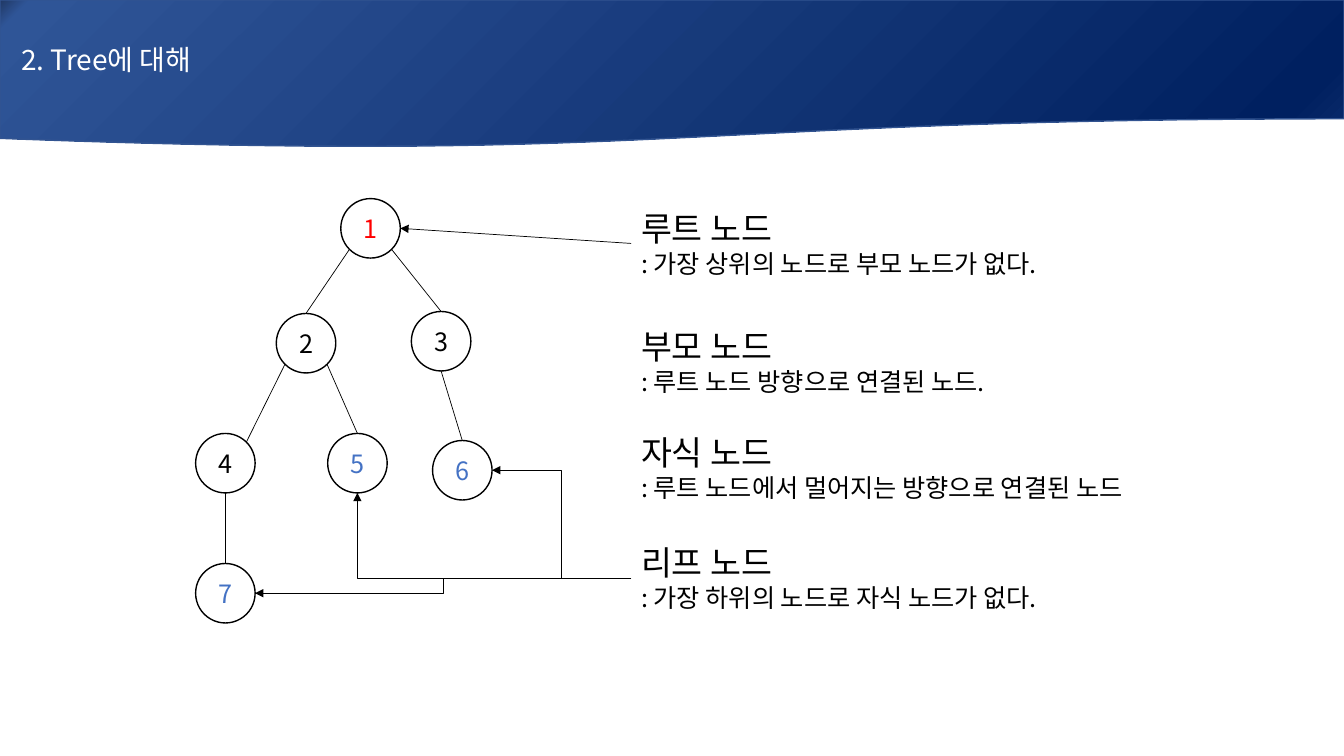
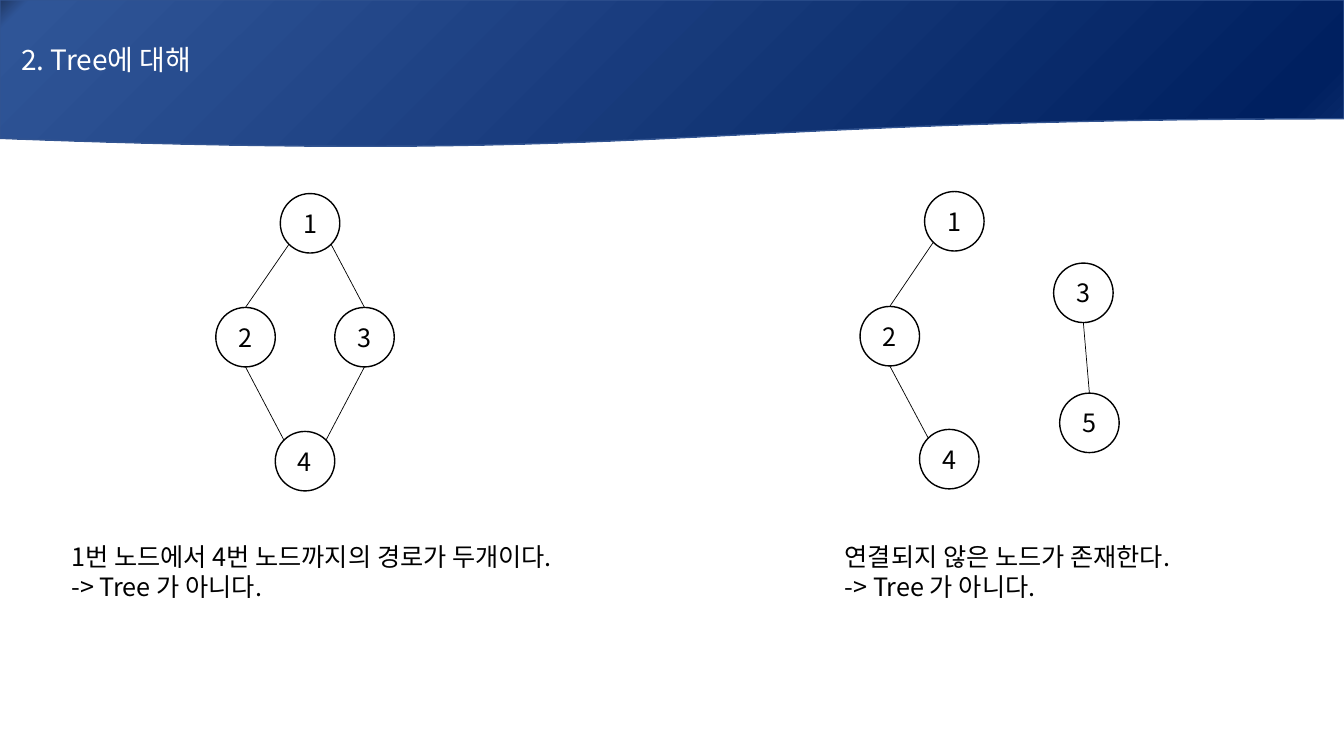
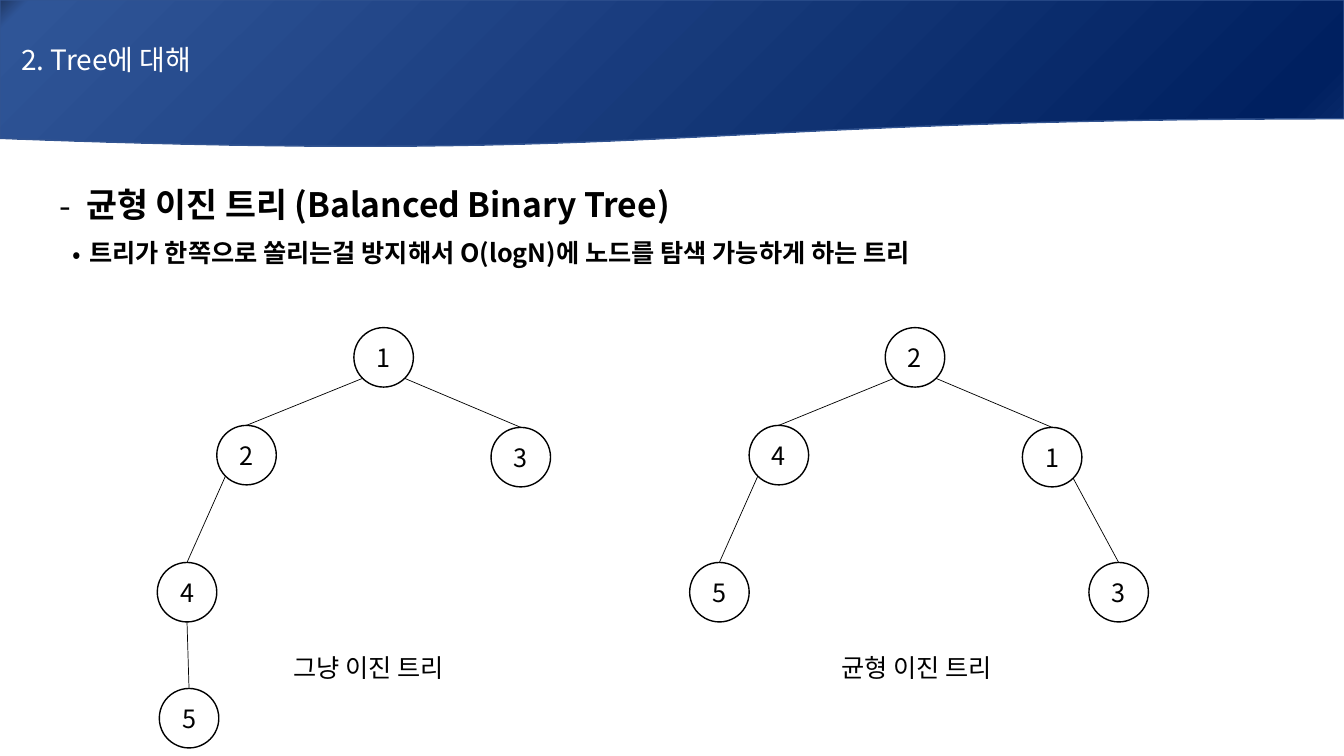
from dataclasses import dataclass
from enum import IntEnum
from math import cos, radians, sin

from lxml.etree import SubElement
from pptx import Presentation
from pptx.dml.color import RGBColor
from pptx.enum.shapes import MSO_CONNECTOR, MSO_SHAPE
from pptx.enum.text import MSO_ANCHOR, MSO_AUTO_SIZE, PP_ALIGN
from pptx.oxml.ns import qn
from pptx.shapes.autoshape import Shape
from pptx.shapes.connector import Connector
from pptx.slide import Slide
from pptx.text.text import _Paragraph as Paragraph
from pptx.util import Inches, Pt

COLORS = {
    "white": "FFFFFF",
    "black": "000000",
    "root": "FF0000",
    "leaf": "4472C4",
    "band_line": "325491",
}
BAND_STOPS = [(0, "203864"), (2, "2F5597"), (94, "002060"), (100, "0D2E6F")]
FONT = "Noto Sans CJK KR"
TITLE = "2. Tree에 대해"
SLIDE_WIDTH = 13.33
SLIDE_HEIGHT = 7.5
BAND_HEIGHT = 1.47
NODE_SIZE = 0.59


class Site(IntEnum):
    TOP = 0
    TOP_LEFT = 1
    LEFT = 2
    BOTTOM_LEFT = 3
    BOTTOM = 4
    BOTTOM_RIGHT = 5
    RIGHT = 6
    TOP_RIGHT = 7


@dataclass(frozen=True)
class Node:
    label: str
    left: float
    top: float
    color: str = "black"


@dataclass(frozen=True)
class Edge:
    parent: str
    parent_site: Site
    child: str
    child_site: Site = Site.TOP


@dataclass(frozen=True)
class Line:
    text: str
    size: int = 18
    bold: bool = False


@dataclass(frozen=True)
class Bullet:
    line: Line
    mark: str
    margin: float
    hanging: float


@dataclass(frozen=True)
class TextBlock:
    left: float
    top: float
    width: float
    height: float
    lines: tuple[Line, ...]


@dataclass(frozen=True)
class Tree:
    nodes: tuple[Node, ...]
    edges: tuple[Edge, ...]


def rgb(name: str) -> RGBColor:
    return RGBColor.from_string(COLORS[name])


def add_run(paragraph: Paragraph, line: Line, color: str = "black") -> None:
    run = paragraph.add_run()
    run.text = line.text
    font = run.font
    font.size = Pt(line.size)
    font.bold = line.bold
    font.name = FONT
    font.color.rgb = rgb(color)
    SubElement(run._r.get_or_add_rPr(), qn("a:ea"), typeface=FONT)


def add_band(slide: Slide) -> None:
    band = slide.shapes.add_shape(
        MSO_SHAPE.FLOWCHART_DOCUMENT, 0, 0, Inches(SLIDE_WIDTH), Inches(BAND_HEIGHT)
    )
    band.shadow.inherit = False
    band.fill.gradient()
    band.fill.gradient_angle = 315
    stops = next(band.element.iter(qn("a:gsLst")))
    for stop in list(stops):
        stops.remove(stop)
    for percent, color in BAND_STOPS:
        stop = SubElement(stops, qn("a:gs"), pos=str(percent * 1000))
        SubElement(stop, qn("a:srgbClr"), val=color)
    band.line.color.rgb = rgb("band_line")
    band.line.width = Pt(1)
    frame = band.text_frame
    frame.margin_left = Inches(0.21)
    frame.vertical_anchor = MSO_ANCHOR.MIDDLE
    paragraph = frame.paragraphs[0]
    paragraph.alignment = PP_ALIGN.LEFT
    add_run(paragraph, Line(TITLE, 20), "white")


def add_slide(presentation: Presentation) -> Slide:
    slide = presentation.slides.add_slide(presentation.slide_layouts[6])
    add_band(slide)
    return slide


def add_text_box(
    slide: Slide, left: float, top: float, width: float, height: float
) -> Shape:
    box = slide.shapes.add_textbox(
        Inches(left), Inches(top), Inches(width), Inches(height)
    )
    box.text_frame.word_wrap = True
    box.text_frame.auto_size = MSO_AUTO_SIZE.SHAPE_TO_FIT_TEXT
    return box


def next_paragraph(box: Shape, index: int) -> Paragraph:
    frame = box.text_frame
    return frame.add_paragraph() if index else frame.paragraphs[0]


def add_text_block(slide: Slide, block: TextBlock) -> Shape:
    box = add_text_box(slide, block.left, block.top, block.width, block.height)
    for index, line in enumerate(block.lines):
        add_run(next_paragraph(box, index), line)
    return box


def add_bullets(slide: Slide, box: Shape, bullets: tuple[Bullet, ...]) -> None:
    for index, bullet in enumerate(bullets):
        paragraph = next_paragraph(box, index)
        paragraph.alignment = PP_ALIGN.JUSTIFY
        paragraph.line_spacing = 1.07
        paragraph.space_after = Pt(8)
        properties = paragraph._p.get_or_add_pPr()
        properties.set("marL", str(Inches(bullet.margin)))
        properties.set("indent", str(-Inches(bullet.hanging)))
        SubElement(properties, qn("a:buFont"), typeface=FONT)
        SubElement(properties, qn("a:buChar"), char=bullet.mark)
        add_run(paragraph, bullet.line)


def add_node(slide: Slide, node: Node) -> Shape:
    circle = slide.shapes.add_shape(
        MSO_SHAPE.OVAL,
        Inches(node.left),
        Inches(node.top),
        Inches(NODE_SIZE),
        Inches(NODE_SIZE),
    )
    circle.shadow.inherit = False
    circle.fill.solid()
    circle.fill.fore_color.rgb = rgb("white")
    circle.line.color.rgb = rgb("black")
    circle.line.width = Pt(1)
    circle.text_frame.vertical_anchor = MSO_ANCHOR.MIDDLE
    paragraph = circle.text_frame.paragraphs[0]
    paragraph.alignment = PP_ALIGN.CENTER
    add_run(paragraph, Line(node.label), node.color)
    return circle


def site_point(circle: Shape, site: Site) -> tuple[int, int]:
    angle = radians(90 + 45 * site)
    radius = circle.width / 2
    return (
        round(circle.left + radius + radius * cos(angle)),
        round(circle.top + radius - radius * sin(angle)),
    )


def glue(connector: Connector, end: str, circle: Shape, site: Site) -> None:
    properties = connector.element.nvCxnSpPr.cNvCxnSpPr
    SubElement(properties, qn(end), id=str(circle.shape_id), idx=str(int(site)))


def add_line(
    slide: Slide, kind: MSO_CONNECTOR, start: tuple[int, int], end: tuple[int, int]
) -> Connector:
    connector = slide.shapes.add_connector(kind, *start, *end)
    connector.line.color.rgb = rgb("black")
    connector.line.width = Pt(0.5)
    SubElement(connector.element.spPr, qn("a:effectLst"))
    return connector


def add_tree(slide: Slide, tree: Tree) -> dict[str, Shape]:
    circles = {node.label: add_node(slide, node) for node in tree.nodes}
    for edge in tree.edges:
        child, parent = circles[edge.child], circles[edge.parent]
        connector = add_line(
            slide,
            MSO_CONNECTOR.STRAIGHT,
            site_point(child, edge.child_site),
            site_point(parent, edge.parent_site),
        )
        glue(connector, "a:stCxn", child, edge.child_site)
        glue(connector, "a:endCxn", parent, edge.parent_site)
    return circles


def add_pointer(
    slide: Slide, note: Shape, circle: Shape, site: Site, kind: MSO_CONNECTOR
) -> None:
    start = (note.left, note.top + note.height // 2)
    connector = add_line(slide, kind, start, site_point(circle, site))
    connector.begin_connect(note, 1)
    glue(connector, "a:endCxn", circle, site)
    if site == Site.BOTTOM:
        connector.element.spPr.find(qn("a:prstGeom")).set("prst", "bentConnector2")
    outline = connector.line._get_or_add_ln()
    SubElement(outline, qn("a:tailEnd"), type="triangle")


NODE_TREE = Tree(
    (
        Node("1", 3.38, 1.97, "root"),
        Node("2", 2.74, 3.11),
        Node("3", 4.08, 3.09),
        Node("4", 1.94, 4.3),
        Node("5", 3.25, 4.3, "leaf"),
        Node("6", 4.29, 4.37, "leaf"),
        Node("7", 1.94, 5.59, "leaf"),
    ),
    (
        Edge("1", Site.BOTTOM_LEFT, "2"),
        Edge("1", Site.BOTTOM_RIGHT, "3"),
        Edge("2", Site.BOTTOM_LEFT, "4", Site.TOP_RIGHT),
        Edge("2", Site.BOTTOM_RIGHT, "5"),
        Edge("3", Site.BOTTOM, "6"),
        Edge("4", Site.BOTTOM, "7"),
    ),
)
NODE_NOTES = [
    (2.01, "루트 노드", ": 가장 상위의 노드로 부모 노드가 없다."),
    (3.18, "부모 노드", ": 루트 노드 방향으로 연결된 노드."),
    (4.24, "자식 노드", ": 루트 노드에서 멀어지는 방향으로 연결된 노드"),
    (5.33, "리프 노드", ": 가장 하위의 노드로 자식 노드가 없다."),
]
LEAF_SITES = {"6": Site.RIGHT, "5": Site.BOTTOM, "7": Site.RIGHT}

CYCLE = Tree(
    (
        Node("1", 2.78, 1.92),
        Node("2", 2.14, 3.05),
        Node("3", 3.32, 3.05),
        Node("4", 2.73, 4.28),
    ),
    (
        Edge("1", Site.BOTTOM_LEFT, "2"),
        Edge("1", Site.BOTTOM_RIGHT, "3"),
        Edge("2", Site.BOTTOM, "4", Site.TOP_LEFT),
        Edge("3", Site.BOTTOM, "4", Site.TOP_RIGHT),
    ),
)
DISCONNECTED = Tree(
    (
        Node("1", 9.17, 1.9),
        Node("2", 8.53, 3.04),
        Node("3", 10.45, 2.61),
        Node("4", 9.12, 4.26),
        Node("5", 10.51, 3.9),
    ),
    (
        Edge("1", Site.BOTTOM_LEFT, "2"),
        Edge("2", Site.BOTTOM, "4", Site.TOP_LEFT),
        Edge("3", Site.BOTTOM, "5"),
    ),
)
COUNTEREXAMPLES = [
    (CYCLE, 0.61, 5.52, "1번 노드에서 4번 노드까지의 경로가 두개이다."),
    (DISCONNECTED, 8.28, 5.0, "연결되지 않은 노드가 존재한다."),
]

PLAIN_TREE = Tree(
    (
        Node("1", 3.51, 3.25),
        Node("2", 2.15, 4.22),
        Node("3", 4.87, 4.24),
        Node("4", 1.56, 5.58),
        Node("5", 1.58, 6.83),
    ),
    (
        Edge("1", Site.BOTTOM_LEFT, "2"),
        Edge("1", Site.BOTTOM_RIGHT, "3"),
        Edge("2", Site.BOTTOM_LEFT, "4"),
        Edge("4", Site.BOTTOM, "5"),
    ),
)
BALANCED_TREE = Tree(
    (
        Node("2", 8.78, 3.25),
        Node("4", 7.43, 4.22),
        Node("1", 10.14, 4.24),
        Node("5", 6.84, 5.58),
        Node("3", 10.8, 5.58),
    ),
    (
        Edge("2", Site.BOTTOM_LEFT, "4"),
        Edge("2", Site.BOTTOM_RIGHT, "1"),
        Edge("4", Site.BOTTOM_LEFT, "5"),
        Edge("1", Site.BOTTOM_RIGHT, "3"),
    ),
)
BINARY_TREES = [
    (PLAIN_TREE, 2.81, "그냥 이진 트리"),
    (BALANCED_TREE, 8.25, "균형 이진 트리"),
]
BALANCED_BULLETS = (
    Bullet(Line("균형 이진 트리 (Balanced Binary Tree)", 24, True), "-", 0.27, 0.27),
    Bullet(
        Line(
            "트리가 한쪽으로 쏠리는걸 방지해서 O(logN)에 노드를 탐색 가능하게 하는 트리",
            bold=True,
        ),
        "•",
        0.3,
        0.17,
    ),
)


def build_node_kinds(presentation: Presentation) -> None:
    slide = add_slide(presentation)
    circles = add_tree(slide, NODE_TREE)
    notes = [
        add_text_block(
            slide,
            TextBlock(6.26, top, 5.63, 0.81, (Line(name, 24), Line(meaning))),
        )
        for top, name, meaning in NODE_NOTES
    ]
    add_pointer(slide, notes[0], circles["1"], Site.RIGHT, MSO_CONNECTOR.STRAIGHT)
    for label, site in LEAF_SITES.items():
        add_pointer(slide, notes[-1], circles[label], site, MSO_CONNECTOR.ELBOW)


def build_counterexamples(presentation: Presentation) -> None:
    slide = add_slide(presentation)
    for tree, left, width, reason in COUNTEREXAMPLES:
        add_tree(slide, tree)
        lines = (Line(reason), Line("-> Tree 가 아니다."))
        add_text_block(slide, TextBlock(left, 5.32, width, 0.71, lines))


def build_balanced_tree(presentation: Presentation) -> None:
    slide = add_slide(presentation)
    add_bullets(slide, add_text_box(slide, 0.49, 1.75, 12.84, 1.38), BALANCED_BULLETS)
    for tree, left, caption in BINARY_TREES:
        add_tree(slide, tree)
        add_text_block(slide, TextBlock(left, 6.42, 3.79, 0.4, (Line(caption),)))


def main() -> None:
    presentation = Presentation()
    presentation.slide_width = Inches(SLIDE_WIDTH)
    presentation.slide_height = Inches(SLIDE_HEIGHT)
    build_node_kinds(presentation)
    build_counterexamples(presentation)
    build_balanced_tree(presentation)
    presentation.save("out.pptx")


if __name__ == "__main__":
    main()
